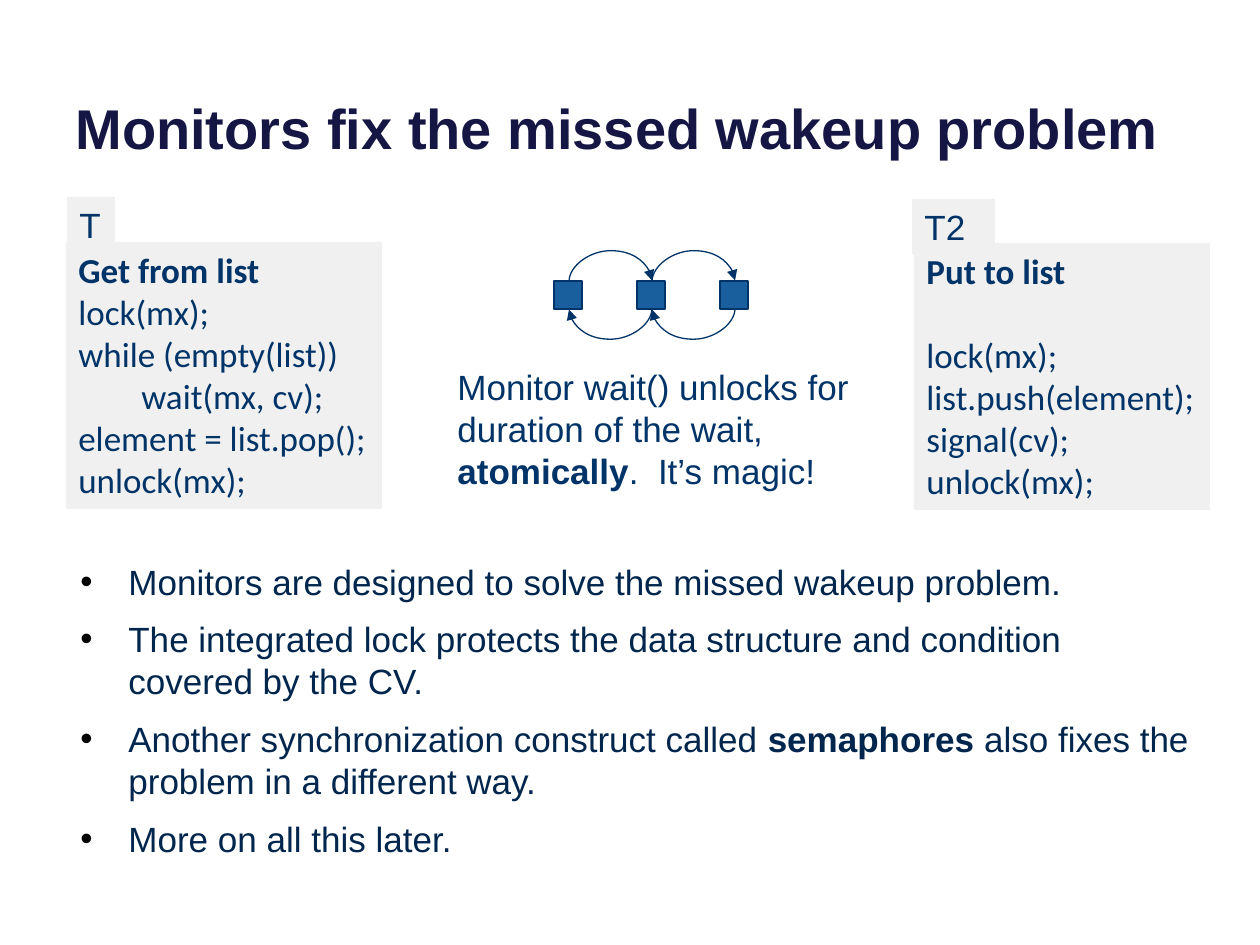
from dataclasses import dataclass

from lxml.etree import SubElement
from pptx import Presentation
from pptx.dml.color import RGBColor
from pptx.enum.shapes import MSO_CONNECTOR, MSO_SHAPE
from pptx.enum.text import MSO_ANCHOR, MSO_AUTO_SIZE, PP_ALIGN
from pptx.oxml.ns import qn
from pptx.util import Pt

PX = 914400 / 126


@dataclass(frozen=True)
class Theme:
    title: str = "161645"
    body: str = "00264D"
    ink: str = "003367"
    bullet: str = "000000"
    panel: str = "F0F0F0"
    node: str = "195F9E"
    sans: str = "Arial"
    code: str = "Calibri"
    title_pt: int = 32
    text_pt: int = 20
    line_pt: float = 0.75
    bullet_gap_pt: int = 9
    code_gap_pt: int = 24


THEME = Theme()


def px(n):
    return round(n * PX)


def color(value):
    return RGBColor.from_string(value)


def add_rect(s, box, fill, line=None):
    sp = s.shapes.add_shape(MSO_SHAPE.RECTANGLE, *map(px, box))
    sp.shadow.inherit = False
    sp.fill.solid()
    sp.fill.fore_color.rgb = color(fill)
    if line:
        sp.line.color.rgb = color(line)
        sp.line.width = Pt(THEME.line_pt)
    else:
        sp.line.fill.background()
    return sp


def write(tf, paragraphs, ink, font=THEME.sans, size=THEME.text_pt):
    """Fill a text frame; each paragraph is a list of (text, bold) runs."""
    for i, runs in enumerate(paragraphs):
        p = tf.paragraphs[0] if i == 0 else tf.add_paragraph()
        p.alignment = PP_ALIGN.LEFT
        for text, bold in runs:
            r = p.add_run()
            r.text = text
            r.font.name, r.font.size, r.font.bold = font, Pt(size), bold
            r.font.color.rgb = color(ink)


def add_text(s, box, paragraphs, ink, size=THEME.text_pt):
    tf = s.shapes.add_textbox(*map(px, box)).text_frame
    tf.word_wrap = True
    write(tf, paragraphs, ink, size=size)
    return tf


def add_title(s, box, text):
    tf = add_text(s, box, [[(text, True)]], THEME.title, THEME.title_pt)
    tf.vertical_anchor = MSO_ANCHOR.BOTTOM


def add_bullets(s, box, paragraphs):
    tf = add_text(s, box, paragraphs, THEME.body)
    for i, p in enumerate(tf.paragraphs):
        pPr = p._p.get_or_add_pPr()
        pPr.set("marL", str(px(48)))
        pPr.set("indent", str(px(-48)))
        clr = SubElement(pPr, qn("a:buClr"))
        SubElement(clr, qn("a:srgbClr"), val=THEME.bullet)
        SubElement(pPr, qn("a:buFont"), typeface=THEME.sans)
        SubElement(pPr, qn("a:buChar"), char="•")
        if i:
            p.space_before = Pt(THEME.bullet_gap_pt)


def add_code(s, box, heading, lines, gap=0):
    """Draw a code panel; gap is the space in points below its heading."""
    tf = add_rect(s, box, THEME.panel).text_frame
    tf.word_wrap = False
    tf.auto_size = MSO_AUTO_SIZE.SHAPE_TO_FIT_TEXT
    tf.vertical_anchor = MSO_ANCHOR.TOP
    paragraphs = [[(heading, True)]] + [[(line, False)] for line in lines]
    write(tf, paragraphs, THEME.ink, THEME.code)
    for p in tf.paragraphs:
        if p.text.startswith("\t"):
            tabs = SubElement(p._p.get_or_add_pPr(), qn("a:tabLst"))
            SubElement(tabs, qn("a:tab"), pos=str(px(63)), algn="l")
    if gap:
        tf.paragraphs[1].space_before = Pt(gap)


def add_tag(s, box, text):
    tf = add_rect(s, box, THEME.panel).text_frame
    tf.word_wrap = True
    tf.vertical_anchor = MSO_ANCHOR.TOP
    write(tf, [[(text, False)]], THEME.ink)


def add_arc(s, cx, cy, span, bulge, above):
    """Draw a curved arrow: rightwards above the nodes, leftwards below."""
    x, y = cx - 0.5, cy - span / 2
    c = s.shapes.add_connector(MSO_CONNECTOR.CURVE, px(x), px(y),
                               px(x + 1), px(y + span))
    c.line.color.rgb = color(THEME.ink)
    c.line.width = Pt(THEME.line_pt)
    SubElement(c.line._get_or_add_ln(), qn("a:tailEnd"), type="triangle")
    spPr = c._element.spPr
    SubElement(spPr, qn("a:effectLst"))
    xfrm = spPr.find(qn("a:xfrm"))
    xfrm.set("rot", "5400000")
    if above:
        xfrm.set("flipH", "1")
        xfrm.set("flipV", "1")
    guides = spPr.find(qn("a:prstGeom")).get_or_add_avLst()
    SubElement(guides, qn("a:gd"), name="adj1", fmla=f"val {bulge * 100000}")


def add_linked_list(s, box, count=3, node=28):
    x, y, w, h = box
    step = (w - node) / (count - 1)
    top = y + (h - node) / 2
    for i in range(count):
        add_rect(s, (x + i * step, top, node, node), THEME.node, THEME.ink)
    for above, edge in ((True, top), (False, top + node)):
        for i in range(count - 1):
            mid = x + node / 2 + 1 + (i + 0.5) * step
            add_arc(s, mid, edge, step, 31, above)


def main():
    prs = Presentation()
    prs.slide_width, prs.slide_height = px(1260), px(945)
    s = prs.slides.add_slide(prs.slide_layouts[6])

    add_title(s, (63, -47, 1134, 214), "Monitors fix the missed wakeup problem")
    add_bullets(s, (68, 554, 1134, 341), [
        [("Monitors are designed to solve the missed wakeup problem.", False)],
        [("The integrated lock protects the data structure and condition "
          "covered by the CV.", False)],
        [("Another synchronization construct called ", False),
         ("semaphores", True),
         (" also fixes the problem in a different way.", False)],
        [("More on all this later.", False)],
    ])
    add_code(s, (66, 242, 316, 267), "Get from list", [
        "lock(mx);", "while (empty(list))", "\twait(mx, cv);",
        "element = list.pop();", "unlock(mx);"])
    add_code(s, (914, 243, 296, 267), "Put to list", [
        "lock(mx);", "list.push(element);", "signal(cv);", "unlock(mx);"],
        gap=THEME.code_gap_pt)
    add_linked_list(s, (554, 250, 194, 90))
    add_text(s, (445, 359, 418, 140), [[
        ("Monitor wait() unlocks for duration of the wait, ", False),
        ("atomically", True), (".  It’s magic!", False)]], THEME.ink)
    add_tag(s, (67, 197, 48, 55), "T")
    add_tag(s, (912, 199, 83, 55), "T2")
    prs.save("out.pptx")


if __name__ == "__main__":
    main()
